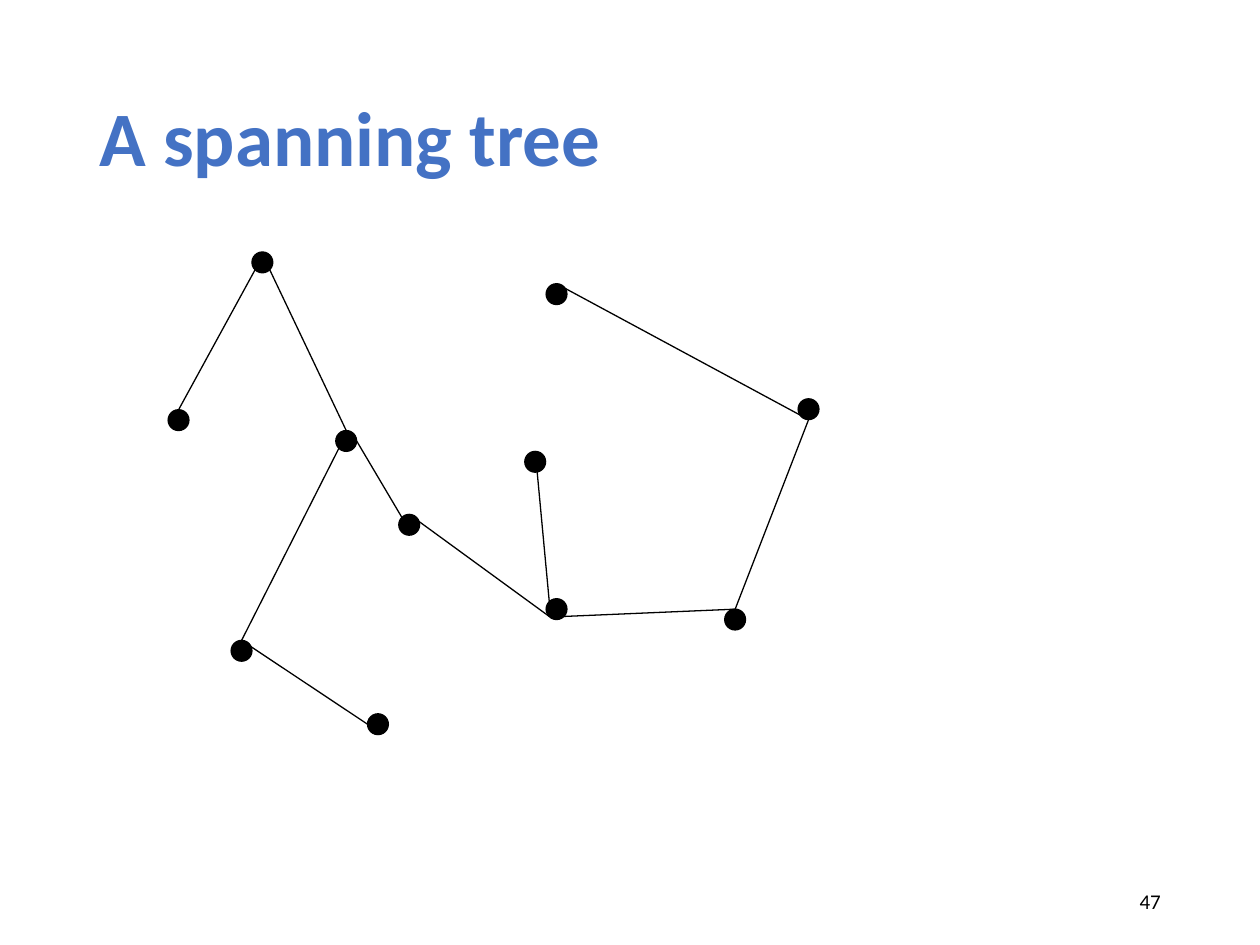
from lxml import etree
from pptx import Presentation
from pptx.dml.color import RGBColor
from pptx.enum.shapes import MSO_CONNECTOR, MSO_SHAPE
from pptx.enum.text import MSO_ANCHOR, PP_ALIGN
from pptx.oxml.ns import qn
from pptx.util import Cm, Pt


def color(value):
    return RGBColor.from_string(value)


def add_text(text, left, top, width, height, size, text_color):
    frame = slide.shapes.add_textbox(Cm(left), Cm(top), Cm(width), Cm(height)).text_frame
    frame.word_wrap = True
    frame.vertical_anchor = MSO_ANCHOR.MIDDLE
    paragraph = frame.paragraphs[0]
    paragraph.text = text
    paragraph.font.name = "Calibri"
    paragraph.font.size = Pt(size)
    paragraph.font.color.rgb = color(text_color)
    return paragraph


presentation = Presentation()
presentation.slide_width = Cm(25.4)
presentation.slide_height = Cm(19.05)
slide = presentation.slides.add_slide(presentation.slide_layouts[6])

title = add_text("A spanning tree", 1.75, 1.01, 21.9, 3.68, 44, "4472C4")
title.font.bold = True
title.line_spacing = 0.9
page_number = add_text("47", 17.94, 17.66, 5.71, 1.01, 12, "000000")
page_number.alignment = PP_ALIGN.RIGHT

diameter = 0.42
nodes = {
    "A": (5.08, 5.08),
    "B": (3.39, 8.26),
    "C": (11.01, 5.72),
    "D": (11.01, 12.07),
    "E": (7.41, 14.39),
    "F": (6.77, 8.68),
    "G": (16.09, 8.04),
    "H": (8.04, 10.37),
    "I": (4.66, 12.91),
    "J": (10.58, 9.1),
    "K": (14.61, 12.28),
}
for left, top in nodes.values():
    dot = slide.shapes.add_shape(MSO_SHAPE.OVAL, Cm(left), Cm(top), Cm(diameter), Cm(diameter))
    dot.shadow.inherit = False
    dot.fill.solid()
    dot.fill.fore_color.rgb = color("000000")
    dot.line.color.rgb = color("000000")
    dot.line.width = Pt(0.75)

sites = {
    "top": (0.5, 0),
    "left": (0, 0.5),
    "right": (1, 0.5),
    "bottom": (0.5, 1),
    "top left": (0.15, 0.15),
    "bottom left": (0.15, 0.85),
    "bottom right": (0.85, 0.85),
}
edges = [
    ("A", "bottom right", "F", "top"),
    ("A", "bottom left", "B", "top"),
    ("F", "right", "H", "top left"),
    ("C", "top", "G", "bottom"),
    ("G", "bottom", "K", "top"),
    ("I", "top", "E", "left"),
    ("H", "top", "D", "bottom left"),
    ("K", "top", "D", "bottom right"),
    ("J", "top", "D", "top left"),
    ("I", "top", "F", "bottom left"),
]
for start, start_site, end, end_site in edges:
    points = []
    for node, site in ((start, start_site), (end, end_site)):
        for corner, share in zip(nodes[node], sites[site]):
            points.append(Cm(corner + share * diameter))
    edge = slide.shapes.add_connector(MSO_CONNECTOR.STRAIGHT, *points)
    edge.line.color.rgb = color("000000")
    edge.line.width = Pt(0.75)
    etree.SubElement(edge._element.spPr, qn("a:effectLst"))

presentation.save("out.pptx")
